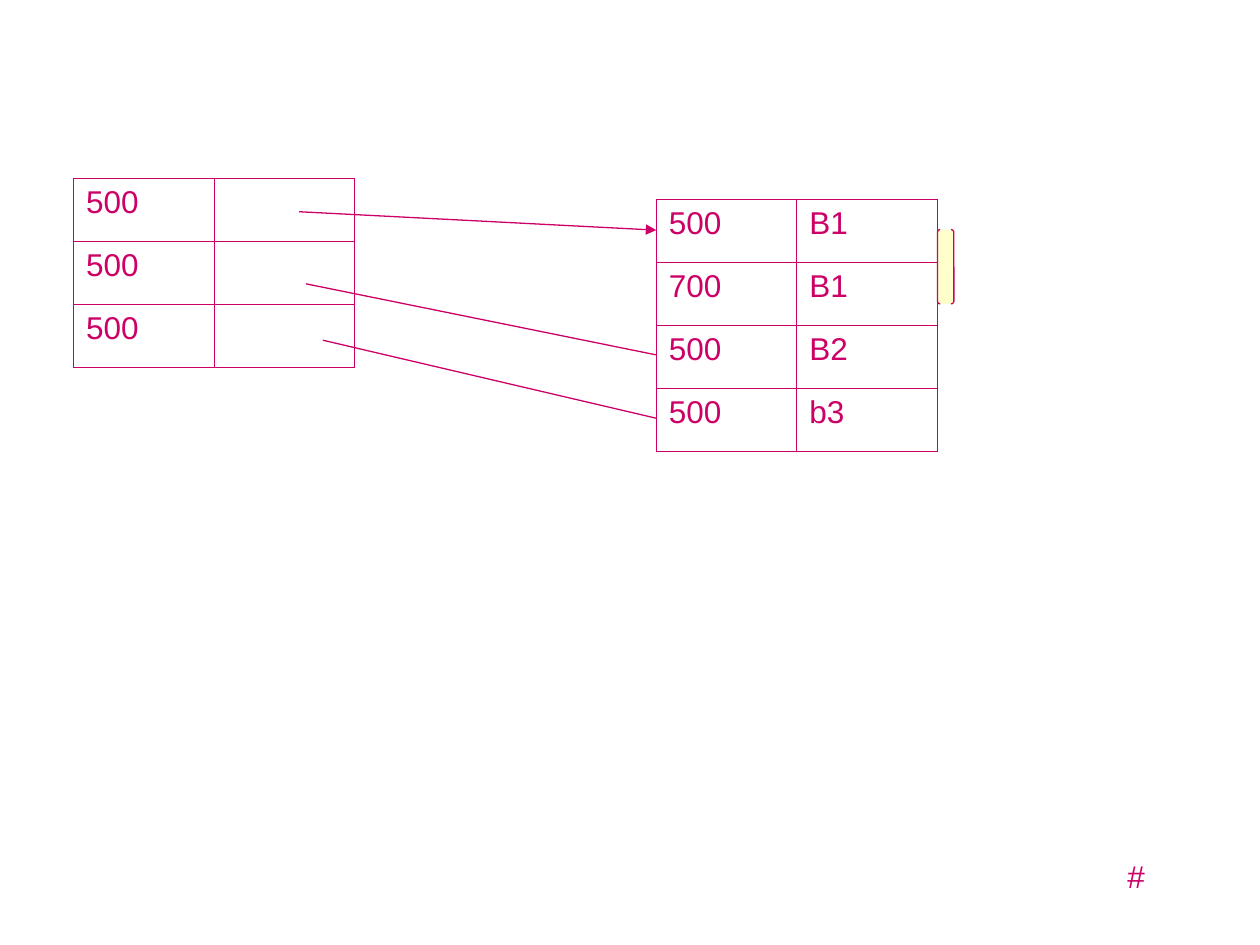
"""Build a slide with two linked tables of numbers and block labels."""
from pptx import Presentation, oxml
from pptx.dml.color import RGBColor
from pptx.enum import shapes, text
from pptx.oxml import ns
from pptx.util import Pt

HUES = {"ink": "CC0066", "link": "CC0064", "pale": "FFFFCC"}
COL, ROW = 80.35, 36


def write(frame, words):
    run = frame.paragraphs[0].add_run()
    run.text = words
    run.font.name = "Arial"
    run.font.size = Pt(18)
    run.font.color.rgb = RGBColor.from_string(HUES["ink"])


deck = Presentation()
deck.slide_width, deck.slide_height = Pt(720), Pt(540)
slide = deck.slides.add_slide(deck.slide_layouts[6])

mark = slide.shapes.add_textbox(Pt(637.2), Pt(486), Pt(24.5), Pt(28.8)).text_frame
mark.word_wrap = False
mark.auto_size = text.MSO_AUTO_SIZE.SHAPE_TO_FIT_TEXT
write(mark, "#")

tables = [
    (42, 102, [("500", ""), ("500", ""), ("500", "")]),
    (375, 114, [("500", "B1"), ("700", "B1"), ("500", "B2"), ("500", "b3")]),
]
for left, top, rows in tables:
    grid = slide.shapes.add_table(
        len(rows), 2, Pt(left), Pt(top), Pt(2 * COL), Pt(ROW * len(rows))
    ).table
    grid.first_row = grid.horz_banding = False
    for col in grid.columns:
        col.width = Pt(COL)
    for r, row in enumerate(rows):
        grid.rows[r].height = Pt(ROW)
        for c, words in enumerate(row):
            cell = grid.cell(r, c)
            for side in "LRTB":
                cell._tc.get_or_add_tcPr().append(oxml.parse_xml(
                    f'<a:ln{side} {ns.nsdecls("a")} w="{Pt(0.45)}"><a:solidFill>'
                    f'<a:srgbClr val="{HUES["ink"]}"/></a:solidFill></a:ln{side}>'
                ))
            cell.fill.background()
            if words:
                write(cell.text_frame, words)

clip = slide.shapes.add_shape(
    shapes.MSO_SHAPE.DOUBLE_BRACKET, Pt(535.7), Pt(131.2), Pt(9.4), Pt(42.5)
)
clip.shadow.inherit = False
clip.adjustments[0] = 0.17
clip.fill.solid()
clip.fill.fore_color.rgb = RGBColor.from_string(HUES["pale"])
clip.line.color.rgb = RGBColor.from_string(HUES["ink"])
clip.line.width = Pt(0.75)

links = [
    (170.9, 121, 131.5, "ink", True),
    (174.9, 162.2, 202.8, "link", False),
    (184.5, 194.4, 239, "ink", False),
]
for left, top, end, hue, tip in links:
    link = slide.shapes.add_connector(
        shapes.MSO_CONNECTOR.STRAIGHT, Pt(left), Pt(top), Pt(375), Pt(end)
    )
    link.line.color.rgb = RGBColor.from_string(HUES[hue])
    link.line.width = Pt(0.75)
    if tip:
        link.line._get_or_add_ln().append(
            oxml.parse_xml(f'<a:tailEnd {ns.nsdecls("a")} type="triangle"/>')
        )
    link._element.spPr.append(oxml.parse_xml(f'<a:effectLst {ns.nsdecls("a")}/>'))

deck.save("out.pptx")
